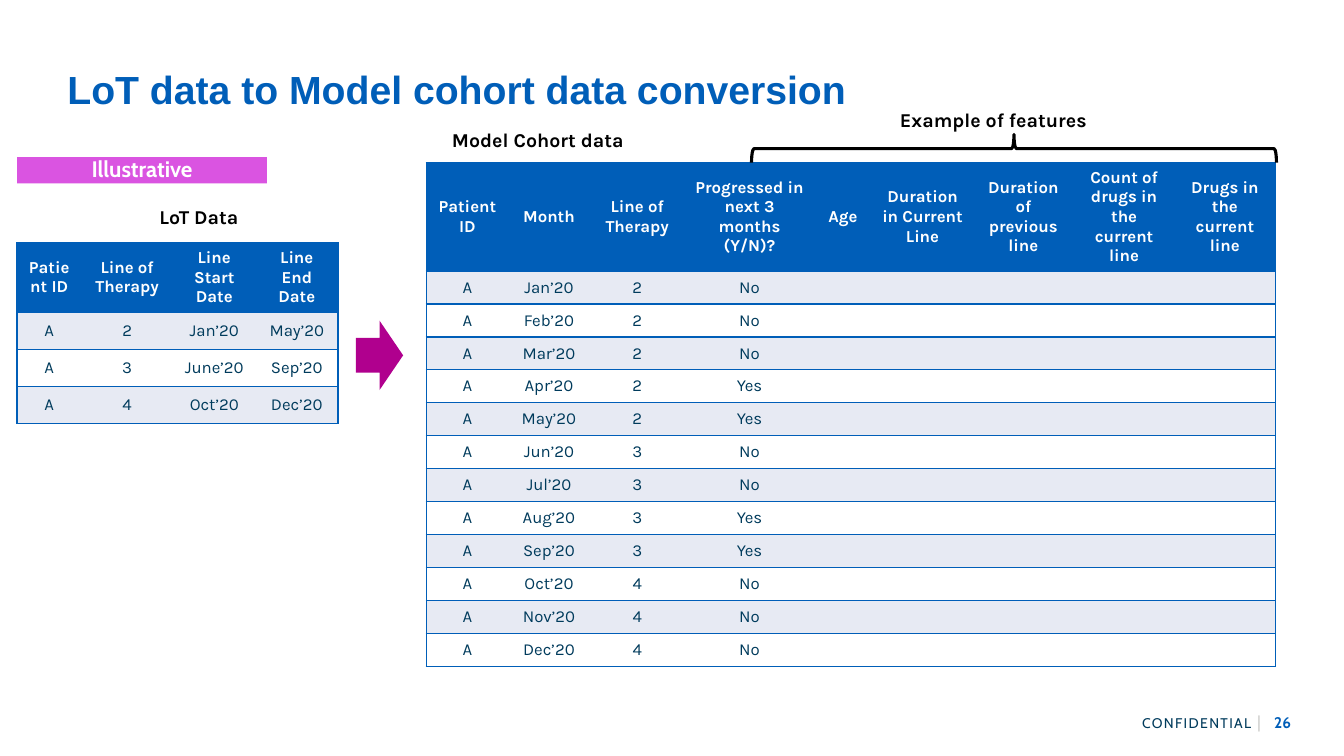
from lxml.etree import SubElement
from pptx import Presentation
from pptx.dml.color import RGBColor
from pptx.enum.shapes import MSO_SHAPE
from pptx.enum.text import MSO_ANCHOR, PP_ALIGN
from pptx.oxml.ns import qn
from pptx.util import Cm, Pt

# Content
TITLE = "LoT data to Model cohort data conversion"
LOT_HEADER = ["Patient ID", "Line of Therapy", "Line Start Date", "Line End Date"]
LOT_ROWS = [
    ("A", "2", "Jan’20", "May’20"),
    ("A", "3", "June’20", "Sep’20"),
    ("A", "4", "Oct’20", "Dec’20"),
]
COHORT_HEADER = [
    "Patient ID", "Month", "Line of Therapy", "Progressed in next 3 months (Y/N)?",
    "Age", "Duration in Current Line", "Duration of previous line",
    "Count of drugs in the current line", "Drugs in the current line",
]
FEATURE_BLANKS = ("",) * 5
COHORT_ROWS = [("A", month, line, progressed) + FEATURE_BLANKS for month, line, progressed in [
    ("Jan’20", "2", "No"), ("Feb’20", "2", "No"), ("Mar’20", "2", "No"),
    ("Apr’20", "2", "Yes"), ("May’20", "2", "Yes"), ("Jun’20", "3", "No"),
    ("Jul’20", "3", "No"), ("Aug’20", "3", "Yes"), ("Sep’20", "3", "Yes"),
    ("Oct’20", "4", "No"), ("Nov’20", "4", "No"), ("Dec’20", "4", "No"),
]]
# Caption: left, top (cm)
CAPTIONS = {
    "LoT Data": (0.43, 5.03),
    "Model Cohort data": (8.97, 3.1),
    "Example of features": (20.45, 2.59),
}
COLORS = {
    "blue": "005EB8", "navy": "003B5C", "band": "E7EAF3", "white": "FFFFFF",
    "black": "000000", "arrow": "B0008E", "tag": "DA54E1", "grey": "D0D0CE",
}
NO_GRID_STYLE = "{2D5ABB26-0587-4C30-8999-92F81FD0307C}"


def color(name):
    return RGBColor.from_string(COLORS[name])


def write(frame, text, *, size=12, font="Karla", ink="black", bold=False,
          align=PP_ALIGN.CENTER, anchor=MSO_ANCHOR.MIDDLE, inset=None, spacing=None):
    """Add a formatted run to the first paragraph of a text frame."""
    frame.word_wrap = True
    frame.vertical_anchor = anchor
    if inset is not None:
        frame.margin_left = frame.margin_right = inset
        frame.margin_top = frame.margin_bottom = inset
    paragraph = frame.paragraphs[0]
    paragraph.alignment = align
    run = paragraph.add_run()
    run.text = text
    run.font.size, run.font.name, run.font.bold = Pt(size), font, bold
    run.font.color.rgb = color(ink)
    if spacing:
        run.font._element.set("spc", str(spacing))


def add_text(left, top, width, height, text, **style):
    box = slide.shapes.add_textbox(Cm(left), Cm(top), Cm(width), Cm(height))
    write(box.text_frame, text, **style)
    return box


def add_block(preset, left, top, width, height, fill=None):
    block = slide.shapes.add_shape(preset, Cm(left), Cm(top), Cm(width), Cm(height))
    block.shadow.inherit = False
    if fill:
        block.fill.solid()
        block.fill.fore_color.rgb = color(fill)
        block.line.fill.background()
    else:
        block.fill.background()
    return block


def draw_border(cell, side):
    line = SubElement(cell._tc.get_or_add_tcPr(), qn(f"a:ln{side}"), w=str(Pt(1)))
    SubElement(SubElement(line, qn("a:solidFill")), qn("a:srgbClr"), val=COLORS["blue"])


def add_data_table(left, top, widths, header_height, row_height, header, rows):
    records = [header, *rows]
    heights = [header_height] + [row_height] * len(rows)
    table = slide.shapes.add_table(len(records), len(header), Cm(left), Cm(top),
                                   Cm(sum(widths)), Cm(sum(heights))).table
    table._tbl.tblPr.find(qn("a:tableStyleId")).text = NO_GRID_STYLE
    for column, width in zip(table.columns, widths):
        column.width = Cm(width)
    for r, (record, height) in enumerate(zip(records, heights)):
        table.rows[r].height = Cm(height)
        fill = "blue" if r == 0 else "band" if r % 2 else "white"
        for c, value in enumerate(record):
            cell = table.cell(r, c)
            sides = ("L" if c == 0 else "") + ("R" if c == len(header) - 1 else "") + "TB"
            for side in sides:
                draw_border(cell, side)
            cell.fill.solid()
            cell.fill.fore_color.rgb = color(fill)
            cell.vertical_anchor = MSO_ANCHOR.MIDDLE
            if value:
                write(cell.text_frame, value, bold=r == 0, ink="navy" if r else "white")
            else:
                # Keeps an empty cell from stretching its row
                SubElement(cell.text_frame.paragraphs[0]._p, qn("a:endParaRPr"), sz="1200")


deck = Presentation()
deck.slide_width, deck.slide_height = Cm(33.87), Cm(19.05)
slide = deck.slides.add_slide(deck.slide_layouts[5])

# Title
title = slide.shapes.title
title.left, title.top, title.width, title.height = Cm(1.7), Cm(0.66), Cm(30.48), Cm(2.18)
write(title.text_frame, TITLE, size=28, font="Arial", ink="blue", bold=True,
      align=PP_ALIGN.LEFT, anchor=MSO_ANCHOR.BOTTOM, inset=0)

# Tables
add_data_table(0.43, 6.12, [1.62, 2.31, 2.08, 2.08], 1.74, 0.94, LOT_HEADER, LOT_ROWS)
add_data_table(10.74, 4.1, [2.08, 2.03, 2.42, 3.24, 1.47] + [2.54] * 4, 2.72, 0.83,
               COHORT_HEADER, COHORT_ROWS)

# Arrow between the tables, brace over the features
add_block(MSO_SHAPE.RIGHT_ARROW, 8.97, 8.08, 1.19, 1.75, fill="arrow")
brace = add_block(MSO_SHAPE.RIGHT_BRACE, 25.2, -2.87, 0.71, 13.23)
brace.rotation = 270
brace.line.color.rgb = color("black")
brace.line.width = Pt(2.25)

# Captions and tag
for caption, (left, top) in CAPTIONS.items():
    add_text(left, top, 9.17, 0.86, caption, size=14, bold=True)
illustrative = add_block(MSO_SHAPE.RECTANGLE, 0.43, 3.96, 6.3, 0.66, fill="tag")
write(illustrative.text_frame, "Illustrative", size=16, font="Cabin", ink="white", bold=True)
illustrative.text_frame.paragraphs[0].line_spacing = 0.9

# Footer
confidential = add_text(28.3, 17.98, 3.73, 0.43, "CONFIDENTIAL ", size=10, font="Cabin",
                        ink="navy", align=PP_ALIGN.RIGHT, spacing=100)
write(confidential.text_frame, "|", font="Cabin", ink="grey", align=PP_ALIGN.RIGHT)
add_text(32.11, 17.98, 1.37, 0.43, "26", size=11, font="Cabin", ink="blue", bold=True,
         align=PP_ALIGN.LEFT, inset=0)

deck.save("out.pptx")
